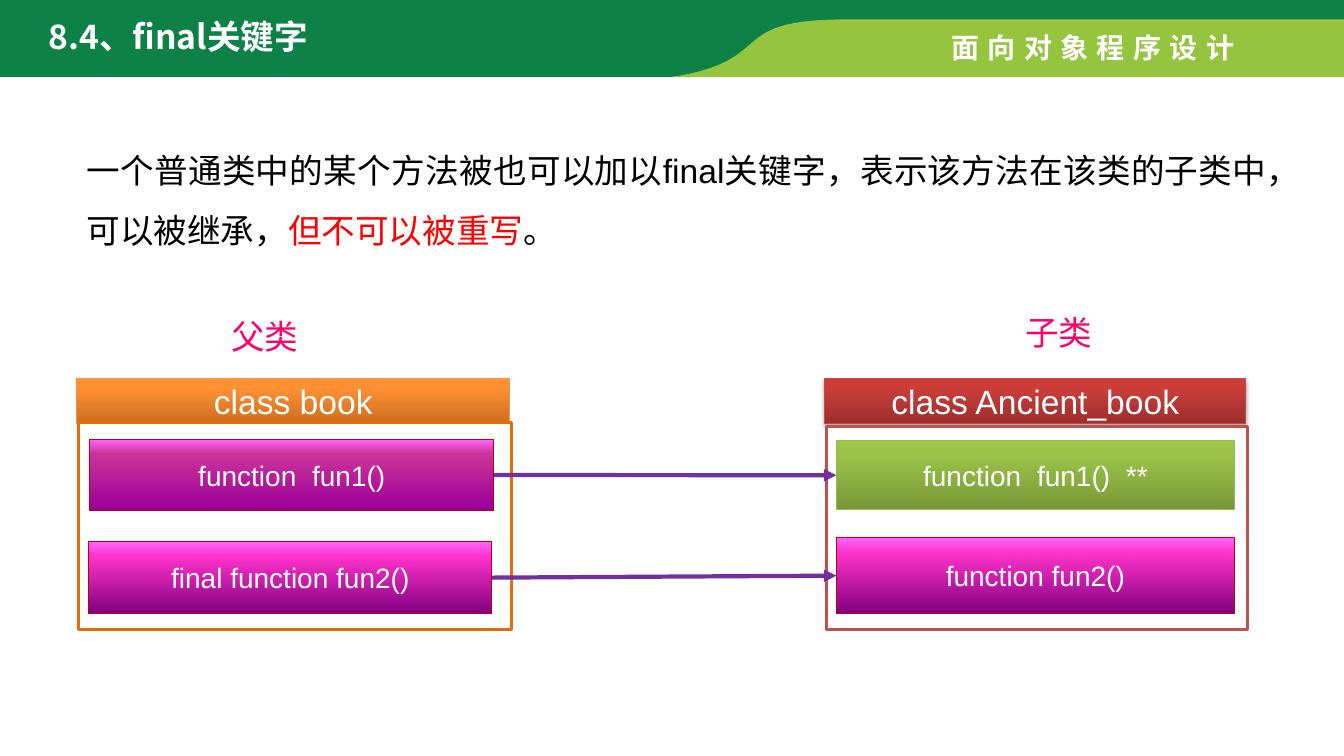
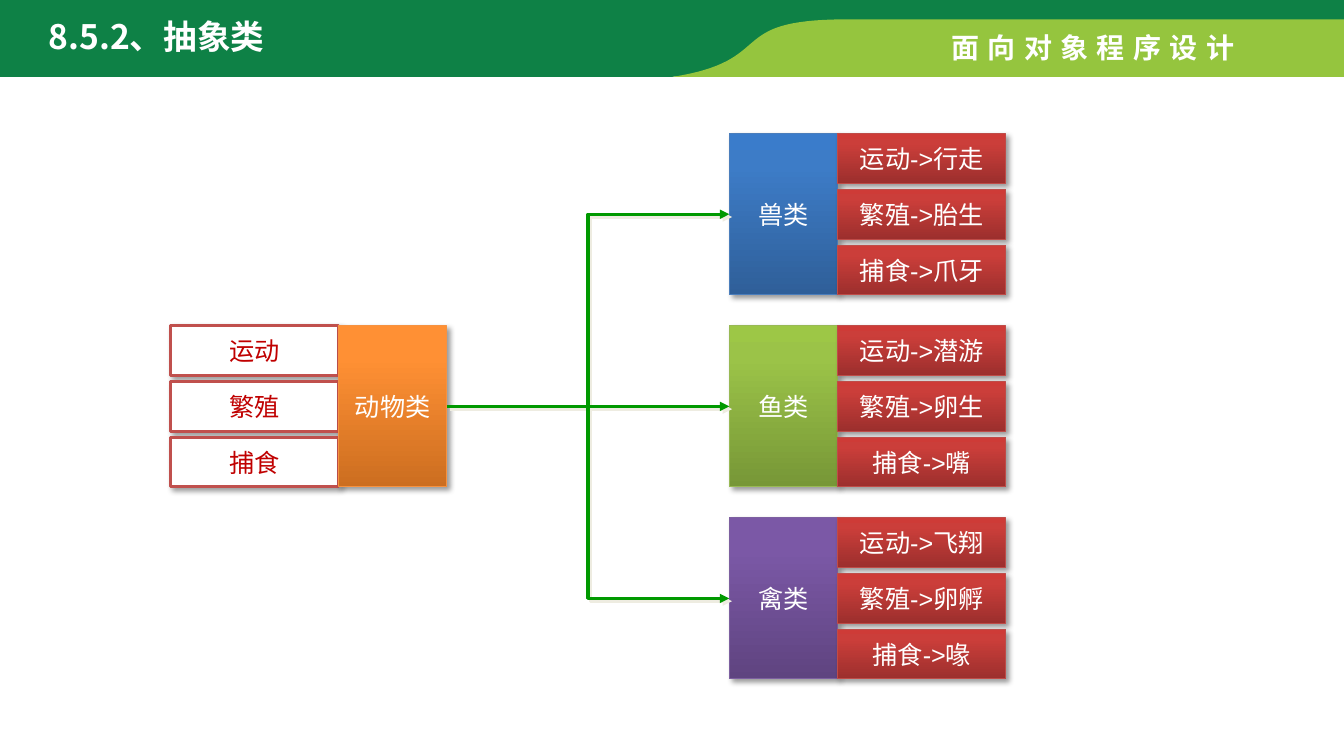
from copy import deepcopy

from lxml import etree
from pptx import Presentation
from pptx.dml.color import RGBColor
from pptx.enum import shapes, text
from pptx.oxml.ns import qn
from pptx.util import Cm, Pt

# Fonts and colours
SANS, CJK = "Arial", "Noto Sans CJK SC"
DARK = RGBColor(0x0E, 0x81, 0x46)
LIME = RGBColor(0x95, 0xC5, 0x3E)
WHITE = RGBColor(0xFF, 0xFF, 0xFF)
BLACK = RGBColor(0x00, 0x00, 0x00)
RED = RGBColor(0xFF, 0x00, 0x00)
WINE = RGBColor(0xC0, 0x00, 0x00)
ROSE = RGBColor(0xFF, 0x00, 0x66)
BRICK = RGBColor(0xC0, 0x50, 0x4D)
AMBER = RGBColor(0xE4, 0x6C, 0x0A)
PLUM = RGBColor(0x70, 0x30, 0xA0)
GREEN = RGBColor(0x00, 0x99, 0x00)
SAND = RGBColor(0xEE, 0xEC, 0xE1)


def paint(edge, *stops):
    """Gradient stops from bottom to top, with the matching edge colour."""
    return [RGBColor.from_string(c) for c in stops], RGBColor.from_string(edge)


ORANGE_BOX = paint("F69240", "CC6E20", "FF9034", "FF9136")
RED_BOX = paint("BF4C48", "9C2F2D", "CB3E3A", "CE3B37")
GREEN_BOX = paint("98B955", "779737", "9BC348", "9DC746")
BLUE_BOX = paint("4B7EBC", "2F5F99", "3D7CC7", "3A7CCB")
VIOLET_BOX = paint("7D60A0", "5F4480", "7B58A6", "7C57A8")
PINK_BOX = paint("C00000", "800080", "FF33CC", "FF66FF")
MAUVE_BOX = paint("C00000", "990099", "CC3399", "FF66FF")

# Shadows: colour, opacity in percent, blur, distance, angle
SOFT = (BLACK, 35, 3.1, 1.8, 90)
DEEP = (BLACK, 40, 4, 3, 45)
PALE = (SAND, 100, 0, 2.8, 45)


# Text
def write(frame, runs, size, font=SANS, align=text.PP_ALIGN.LEFT, bold=False):
    """Each run is its words, its colour and, if any, its letter spacing."""
    par = frame.paragraphs[0]
    par.alignment = align
    for words, color, *gap in runs:
        run = par.add_run()
        run.text = words
        run.font.size = Pt(size)
        run.font.bold = bold
        run.font.name = font
        run.font.color.rgb = color
        props = run.font._element
        etree.SubElement(props, qn("a:ea"), typeface=CJK)
        if gap:
            props.set("spc", str(round(gap[0] * 100)))


def note(slide, area, runs, size, wrap=False, **style):
    item = slide.shapes.add_textbox(*map(Cm, area))
    item.text_frame.word_wrap = wrap
    write(item.text_frame, runs, size, **style)
    return item


# Boxes and arrows
def cast(effect, shadow):
    color, alpha, blur, dist, angle = shadow
    outer = etree.SubElement(
        effect, qn("a:outerShdw"), blurRad=str(Pt(blur)), dist=str(Pt(dist)),
        dir=str(angle * 60000), algn="tl", rotWithShape="0")
    tone = etree.SubElement(outer, qn("a:srgbClr"), val=str(color))
    etree.SubElement(tone, qn("a:alpha"), val=str(alpha * 1000))


def box(slide, area, fill, edge, width=0.75, shadow=None):
    item = slide.shapes.add_shape(shapes.MSO_SHAPE.RECTANGLE, *map(Cm, area))
    props = item._element.spPr
    if fill is None:
        item.fill.background()
    elif isinstance(fill, list):
        item.fill.gradient()
        item.fill.gradient_angle = 90
        stops = props.find(".//" + qn("a:gsLst"))
        stops.append(deepcopy(stops[-1]))
        for stop, spot, color in zip(item.fill.gradient_stops, (0, 0.8, 1), fill):
            stop.position = spot
            stop.color.rgb = color
    else:
        item.fill.solid()
        item.fill.fore_color.rgb = fill
    item.line.color.rgb = edge
    item.line.width = Pt(width)
    item.shadow.inherit = False
    if shadow:
        cast(props.find(qn("a:effectLst")), shadow)
    return item


def card(slide, area, look, words, size, font=SANS, color=WHITE, **style):
    """A box with centred text; several words get a double-width space."""
    item = box(slide, area, *look, **style)
    item.text_frame.vertical_anchor = text.MSO_ANCHOR.MIDDLE
    first, *rest = [words] if isinstance(words, str) else words
    runs = [(first, color)]
    for word in rest:
        runs += [(" ", color, size * 0.28), (word, color)]
    write(item.text_frame, runs, size, font, text.PP_ALIGN.CENTER)
    return item


def arrow(slide, start, end, color, width, kind="STRAIGHT", shadow=None):
    item = slide.shapes.add_connector(shapes.MSO_CONNECTOR[kind], 0, 0, 0, 0)
    item.begin_connect(start, 3)
    item.end_connect(end, 1)
    item.line.color.rgb = color
    item.line.width = Pt(width)
    props = item._element.spPr
    etree.SubElement(props.find(qn("a:ln")), qn("a:tailEnd"), type="triangle")
    effect = etree.SubElement(props, qn("a:effectLst"))
    if shadow:
        cast(effect, shadow)


# Shared header
def curve(a, b, c, d, steps=32):
    for i in range(1, steps + 1):
        t = i / steps
        s = 1 - t
        yield tuple(s**3 * p + 3 * s * s * t * q + 3 * s * t * t * r + t**3 * u
                    for p, q, r, u in zip(a, b, c, d))


def band(slide, points, color):
    spots = [(Cm(x), Cm(y)) for x, y in points]
    path = slide.shapes.build_freeform(*spots[0], scale=1.0)
    path.add_line_segments(spots[1:], close=True)
    item = path.convert_to_shape()
    item.fill.solid()
    item.fill.fore_color.rgb = color
    item.line.fill.background()
    item.shadow.inherit = False
    return item


def header(slide, layout):
    """Put the bands, course name and title place on the layout."""
    for spot in list(layout.placeholders)[1:]:
        spot._element.getparent().remove(spot._element)
    head = layout.placeholders[0]
    head.left, head.top, head.width, head.height = map(Cm, (0.97, 0.28, 12.22, 1.27))
    head.text_frame.vertical_anchor = text.MSO_ANCHOR.TOP
    head.text_frame.auto_size = text.MSO_AUTO_SIZE.NONE

    edge, base, rise = 33.87, 1.94, 0.49
    dark = [(0, 0), (edge, 0), (edge, 0.61), (21, 0.61), (20.55, 0.71),
            *curve((20.55, 0.71), (18.47, 1.12), (19.56, base), (16.64, base)),
            (0, base)]
    lime = [(21.31, rise), (edge, rise), (edge, base), (16.94, base),
            *curve((16.94, base), (19.63, 1.52), (18.21, rise), (21.31, rise))]
    parts = [band(slide, dark, DARK), band(slide, lime, LIME),
             note(slide, (23.72, 0.64, 7.92, 1.12),
                  [("面向对象程序设计", WHITE, 6)], 20, bold=True)]
    for i, part in enumerate(parts):
        layout.shapes._spTree.insert(2 + i, part._element)


def title(slide, words):
    write(slide.shapes.title.text_frame, [(words, WHITE)], 24, CJK, bold=True)


# Slide 1: final methods
def final(slide):
    title(slide, "8.4、final关键字")
    body = note(slide, (1.93, 3.14, 31.09, 3.12), [
        ("一个普通类中的某个方法被也可以加以final关键字，"
         "表示该方法在该类的子类中，可以被继承，", BLACK),
        ("但不可以被重写", RED), ("。", BLACK)],
        24, wrap=True, align=text.PP_ALIGN.JUSTIFY)
    par = body.text_frame.paragraphs[0]
    par.line_spacing = 1.5
    par._p.get_or_add_pPr().set("hangingPunct", "0")

    note(slide, (5.58, 7.84, 2.24, 1.27), [("父类", ROSE)], 24, font=CJK)
    note(slide, (25.59, 7.74, 2.24, 1.27), [("子类", ROSE)], 24, font=CJK)

    card(slide, (1.93, 9.55, 10.92, 1.12), ORANGE_BOX, "class book", 24)
    box(slide, (1.98, 10.64, 10.92, 5.23), None, AMBER, 2.25)
    card(slide, (20.78, 9.55, 10.62, 1.12), RED_BOX, "class Ancient_book", 24,
         shadow=SOFT)
    box(slide, (20.83, 10.74, 10.62, 5.13), WHITE, BRICK, 2)

    pairs = [
        (((2.26, 11.07, 10.19, 1.8), MAUVE_BOX, ("function", "fun1()")),
         ((21.08, 11.1, 10.03, 1.75), GREEN_BOX, ("function", "fun1()", "**"))),
        (((2.24, 13.65, 10.16, 1.81), PINK_BOX, "final function fun2()"),
         ((21.08, 13.54, 10.03, 1.93), PINK_BOX, "function fun2()")),
    ]
    for pair in pairs:
        start, end = [card(slide, *data, 20) for data in pair]
        arrow(slide, start, end, PLUM, 3)


# Slide 2: abstract class
NAME_W, TRAIT_W, TRAIT_H, GROUP_H = 2.73, 4.24, 1.25, 4.06


def traits(slide, left, top, words, look, **style):
    step = (GROUP_H - TRAIT_H) / 2
    for i, word in enumerate(words):
        card(slide, (left, top + i * step, TRAIT_W, TRAIT_H), look, word, 18,
             shadow=DEEP, **style)


def name(slide, left, top, look, word):
    return card(slide, (left, top, NAME_W, GROUP_H), look, word, 18, CJK,
                shadow=DEEP)


def abstract(slide):
    title(slide, "8.5.2、抽象类")
    verbs = ("运动", "繁殖", "捕食")
    kinds = [("兽类", BLUE_BOX, ("行走", "胎生", "爪牙")),
             ("鱼类", GREEN_BOX, ("潜游", "卵生", "嘴")),
             ("禽类", VIOLET_BOX, ("飞翔", "卵孵", "喙"))]
    first, step, left, right = 3.37, 4.84, 4.29, 18.38

    middle = first + step
    traits(slide, left, middle, verbs, (WHITE, BRICK), color=WINE, width=2)
    root = name(slide, left + TRAIT_W, middle, ORANGE_BOX, "动物类")
    for i, (word, look, ways) in enumerate(kinds):
        top = first + i * step
        kind = name(slide, right, top, look, word)
        traits(slide, right + NAME_W, top,
               [f"{verb}->{way}" for verb, way in zip(verbs, ways)], RED_BOX)
        arrow(slide, root, kind, GREEN, 2.25,
              "STRAIGHT" if top == middle else "ELBOW", PALE)


def main():
    deck = Presentation()
    deck.slide_width, deck.slide_height = Cm(33.87), Cm(19.05)
    layout = deck.slide_layouts[5]
    pages = [deck.slides.add_slide(layout) for _ in range(2)]
    header(pages[0], layout)
    final(pages[0])
    abstract(pages[1])
    deck.save("out.pptx")


if __name__ == "__main__":
    main()
